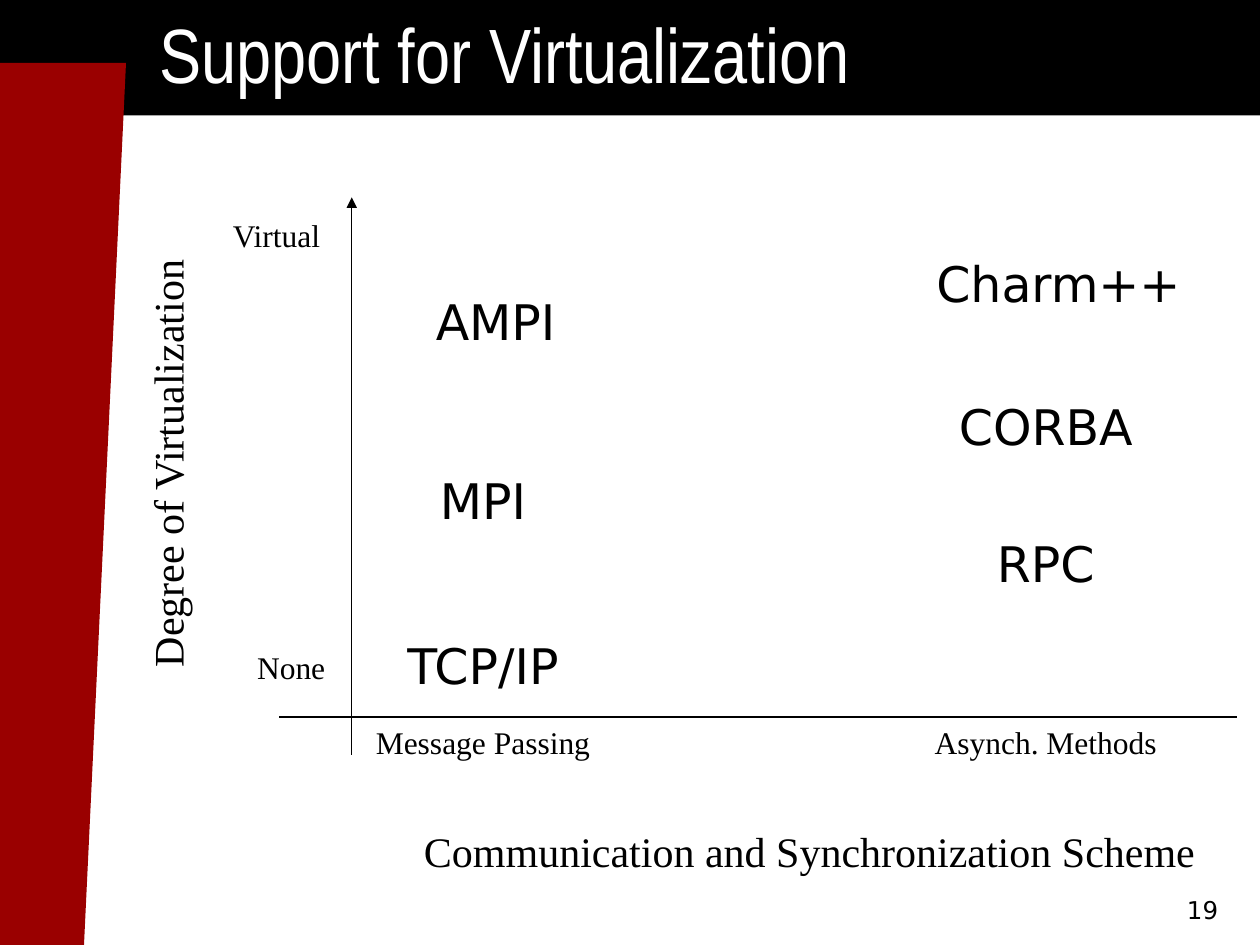
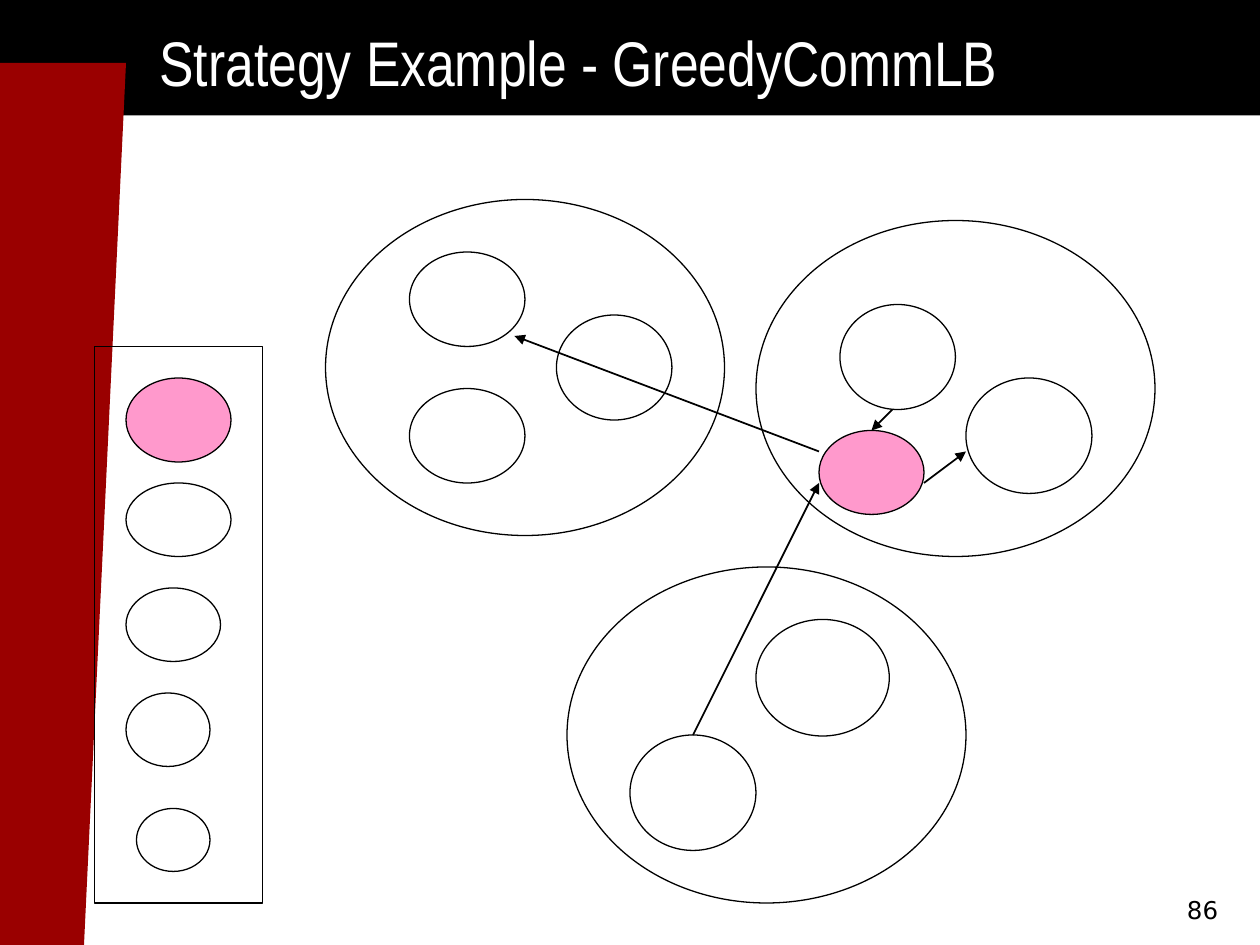
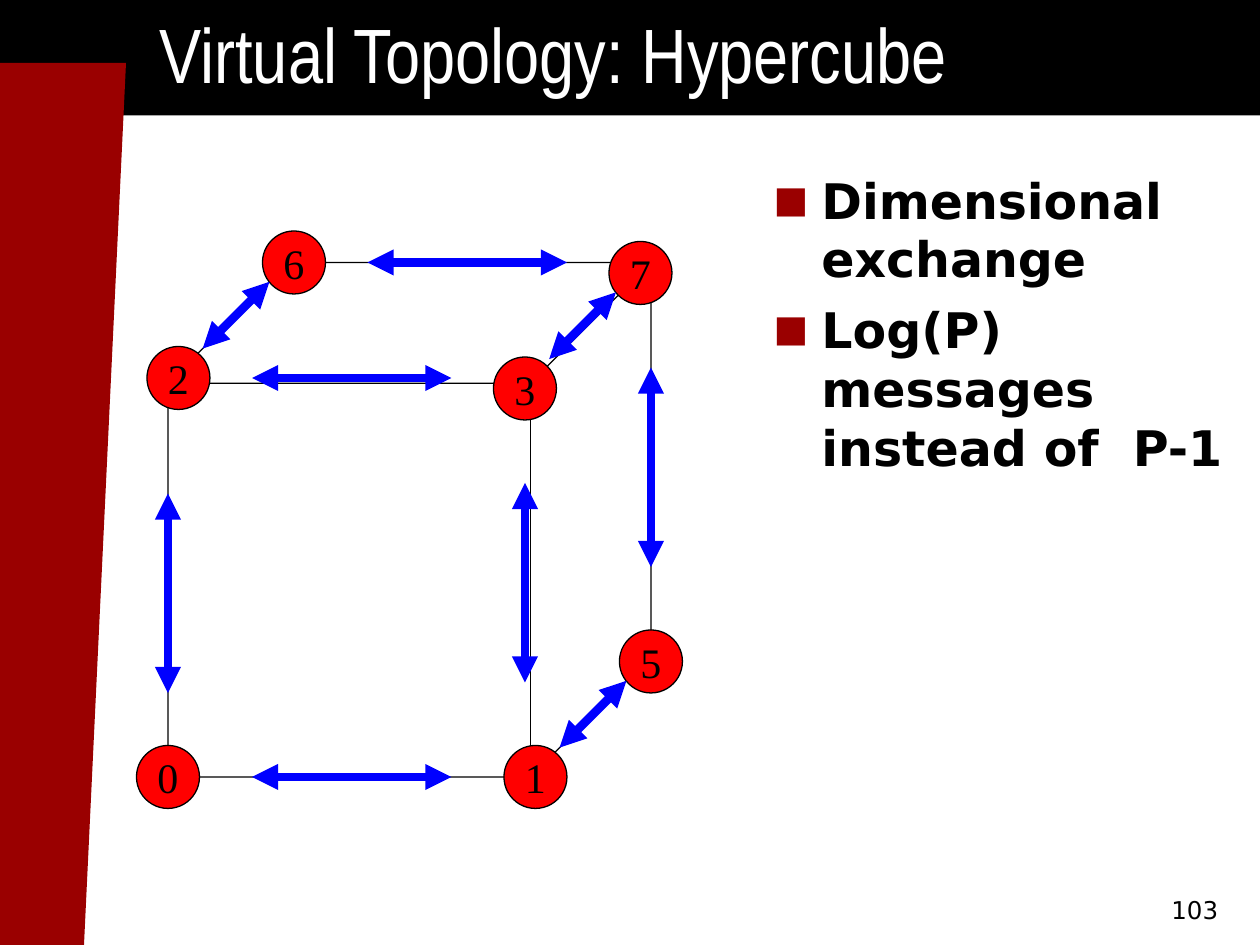
from lxml import etree
from pptx import Presentation
from pptx import util as u
from pptx.dml.color import RGBColor
from pptx.enum import shapes, text
from pptx.oxml import ns

COLORS = {
    "black": "000000", "white": "FFFFFF", "maroon": "9A0000",
    "pink": "FF99CC", "red": "FF0000", "blue": "0000FF",
}
SERIF, SANS, NARROW = "Times New Roman", "DejaVu Sans", "Arial Narrow"
LEFT, CENTER, RIGHT = text.PP_ALIGN.LEFT, text.PP_ALIGN.CENTER, text.PP_ALIGN.RIGHT
TOP, MIDDLE, BOTTOM = text.MSO_ANCHOR.TOP, text.MSO_ANCHOR.MIDDLE, text.MSO_ANCHOR.BOTTOM
KINDS = shapes.MSO_SHAPE

STYLES = {
    "title": {"name": NARROW, "size": u.Pt(44)},
    "long title": {"name": NARROW, "size": u.Pt(36)},
    "number": {"name": SANS, "size": u.Pt(14)},
    "tick": {"name": SERIF, "size": u.Pt(18)},
    "axis": {"name": SERIF, "size": u.Pt(24)},
    "system": {"name": SANS, "size": u.Pt(28)},
    "bullet": {"name": SANS, "size": u.Pt(28), "bold": True},
}

presentation = Presentation()
presentation.slide_width, presentation.slide_height = u.Inches(10), u.Inches(7.5)
COLUMN = presentation.slide_width / 120
ROW = presentation.slide_height / 90


def draw_shape(slide, kind, box, fill=None, line="black", width=0.75):
    left, top, columns, rows = box
    shape = slide.shapes.add_shape(
        kind, int(left * COLUMN), int(top * ROW), int(columns * COLUMN), int(rows * ROW))
    shape.shadow.inherit = False
    if fill:
        shape.fill.solid()
        shape.fill.fore_color.rgb = RGBColor.from_string(COLORS[fill])
    else:
        shape.fill.background()
    if line:
        shape.line.color.rgb = RGBColor.from_string(COLORS[line])
        shape.line.width = u.Pt(width)
    else:
        shape.line.fill.background()
    return shape


def write_text(slide, box, lines, style, align=LEFT, anchor=TOP, color="black", shape=None):
    if shape is None:
        left, top, columns, rows = box
        shape = slide.shapes.add_textbox(
            int(left * COLUMN), int(top * ROW), int(columns * COLUMN), int(rows * ROW))
    frame = shape.text_frame
    frame.word_wrap = anchor != MIDDLE
    frame.vertical_anchor = anchor
    for index, line in enumerate(lines):
        paragraph = frame.add_paragraph() if index else frame.paragraphs[0]
        paragraph.alignment = align
        run = paragraph.add_run()
        run.text = line
        run.font.color.rgb = RGBColor.from_string(COLORS[color])
        for name, value in STYLES[style].items():
            setattr(run.font, name, value)
    return shape


slides = []
for title, style, title_top, number in [
    ("Support for Virtualization", "title", 0, "19"),
    ("Strategy Example - GreedyCommLB", "long title", 1.6, "86"),
    ("Virtual Topology: Hypercube", "title", 0, "103"),
]:
    slide = presentation.slides.add_slide(presentation.slide_layouts[6])
    draw_shape(slide, KINDS.RECTANGLE, (0, 0, 126, 11), "black", None)
    draw_shape(slide, KINDS.PARALLELOGRAM, (-4, 6, 16, 84), "maroon", None)
    write_text(slide, (14, title_top, 105, 10 - title_top), [title], style,
               anchor=BOTTOM, color="white")
    write_text(slide, (92.2, 82.6, 25, 6), [number], "number", RIGHT, BOTTOM)
    slides.append(slide)
virtualization, strategy, hypercube = slides

message_column, method_column = 33.5, 87.1
axis_row = 68.3
for label, left, top, columns in [
    ("AMPI", message_column + 1.2, 27.2, 25),
    ("MPI", message_column, 44.2, 25),
    ("TCP/IP", message_column, 59.9, 25),
    ("Charm++", method_column, 23.6, 27.4),
    ("CORBA", method_column, 37.2, 25),
    ("RPC", method_column, 50.2, 25),
]:
    write_text(virtualization, (left, top, columns, 6.8), [label], "system", CENTER)
for label, left, top, columns, align in [
    ("Message Passing", message_column, axis_row, 25, CENTER),
    ("Asynch. Methods", method_column, axis_row, 25, CENTER),
    ("Virtual", 21, 20, 14.8, LEFT),
    ("None", 23.3, 61.1, 11.4, LEFT),
]:
    write_text(virtualization, (left, top, columns, 4.8), [label], "tick", align)
write_text(virtualization, (39.2, 78, 79.8, 6),
           ["Communication and Synchronization Scheme"], "axis")
vertical_title = write_text(virtualization, (-9.4, 36.4, 50.6, 6),
                            ["Degree of Virtualization"], "axis")
vertical_title.rotation = 270

for left, top in [(31, 19), (72, 21), (54, 54)]:
    draw_shape(strategy, KINDS.OVAL, (left, top, 38, 32))
draw_shape(strategy, KINDS.RECTANGLE, (9, 33, 16, 53), width=1)
placed_objects = [
    (39, 24, 11, 9), (39, 37, 11, 9), (53, 30, 11, 10),
    (80, 29, 11, 10), (92, 36, 12, 11),
    (72, 59, 12.7, 11.1), (60, 70, 12, 11),
]
queued_objects = [(12, 46, 10, 7), (12, 56, 9, 7), (12, 66, 8, 7), (13, 77, 7, 6)]
moved_objects = [(12, 36, 10, 8), (78, 41, 10, 8)]
for box in placed_objects + queued_objects:
    draw_shape(strategy, KINDS.OVAL, box, "white")
for box in moved_objects:
    draw_shape(strategy, KINDS.OVAL, box, "pink")

body = write_text(hypercube, (72.5, 15.6, 45.8, 34.2),
                  ["Dimensional exchange", "Log(P) messages instead of  P-1"], "bullet")
for index, paragraph in enumerate(body.text_frame.paragraphs):
    properties = paragraph._p.get_or_add_pPr()
    properties.set("marL", str(u.Inches(0.38)))
    properties.set("indent", str(-u.Inches(0.38)))
    bullet_color = etree.SubElement(properties, ns.qn("a:buClr"))
    etree.SubElement(bullet_color, ns.qn("a:srgbClr"), val=COLORS["maroon"])
    etree.SubElement(properties, ns.qn("a:buSzPct"), val="75000")
    etree.SubElement(properties, ns.qn("a:buFont"), typeface=SANS)
    etree.SubElement(properties, ns.qn("a:buChar"), char="■")
    if index:
        paragraph.space_before = u.Pt(7)

draw_shape(hypercube, KINDS.CUBE, (16, 25, 46, 49))
for label, left, top in [
    ("6", 25, 22), ("7", 58, 23), ("3", 47, 34), ("5", 59, 60),
    ("1", 48, 71), ("0", 13, 71), ("2", 14, 33),
]:
    node = draw_shape(hypercube, KINDS.OVAL, (left, top, 6, 6), "red")
    write_text(hypercube, None, [label], "axis", CENTER, MIDDLE, shape=node)

lines = [
    (virtualization, (33.5, 71.9, 33.5, 18.8), "black", 0.75, ["tailEnd"]),
    (virtualization, (26.6, axis_row, 117.8, axis_row), "black", 0.75, []),
]
for ends in [(88, 46, 92, 43), (85, 39, 83, 41), (78, 43, 49, 32), (66, 70, 78, 46)]:
    lines.append((strategy, ends, "black", 1, ["tailEnd"]))
for starts, across, down in [
    ([(24, 36), (35, 25), (24, 74)], 19, 0),
    ([(62, 35), (50, 46), (16, 47)], 0, 19),
    ([(19.3, 33.2), (52.3, 34.2), (53.3, 71.2)], 6.36, -6.36),
]:
    for left, top in starts:
        lines.append((hypercube, (left, top, left + across, top + down),
                      "blue", 5, ["headEnd", "tailEnd"]))

for slide, (start_x, start_y, end_x, end_y), color, width, arrowheads in lines:
    connector = slide.shapes.add_connector(
        shapes.MSO_CONNECTOR.STRAIGHT, int(start_x * COLUMN), int(start_y * ROW),
        int(end_x * COLUMN), int(end_y * ROW))
    connector.line.color.rgb = RGBColor.from_string(COLORS[color])
    connector.line.width = u.Pt(width)
    outline = connector.line._get_or_add_ln()
    for arrowhead in arrowheads:
        etree.SubElement(outline, ns.qn("a:" + arrowhead), type="triangle")
    etree.SubElement(connector._element.spPr, ns.qn("a:effectLst"))

presentation.save("out.pptx")
